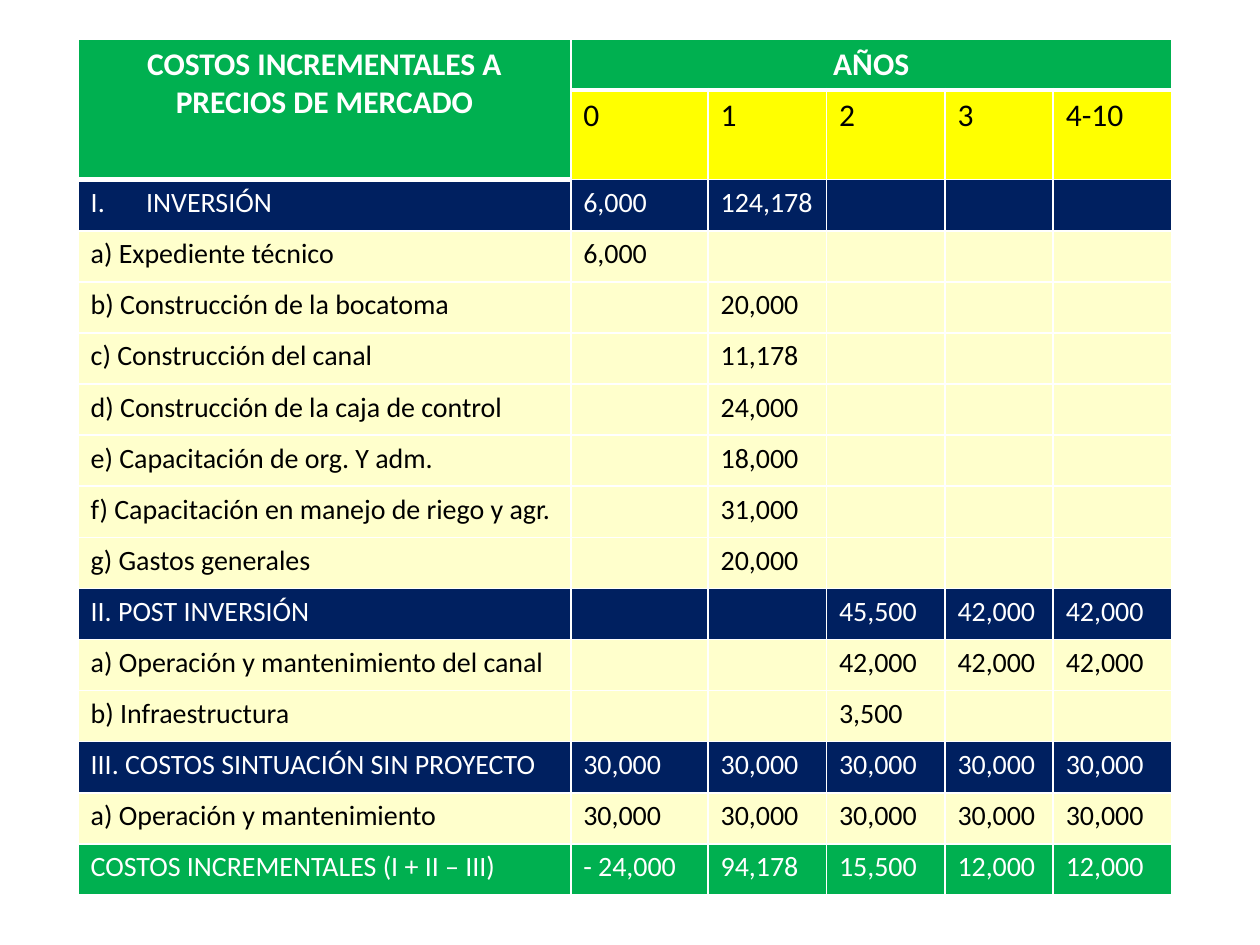
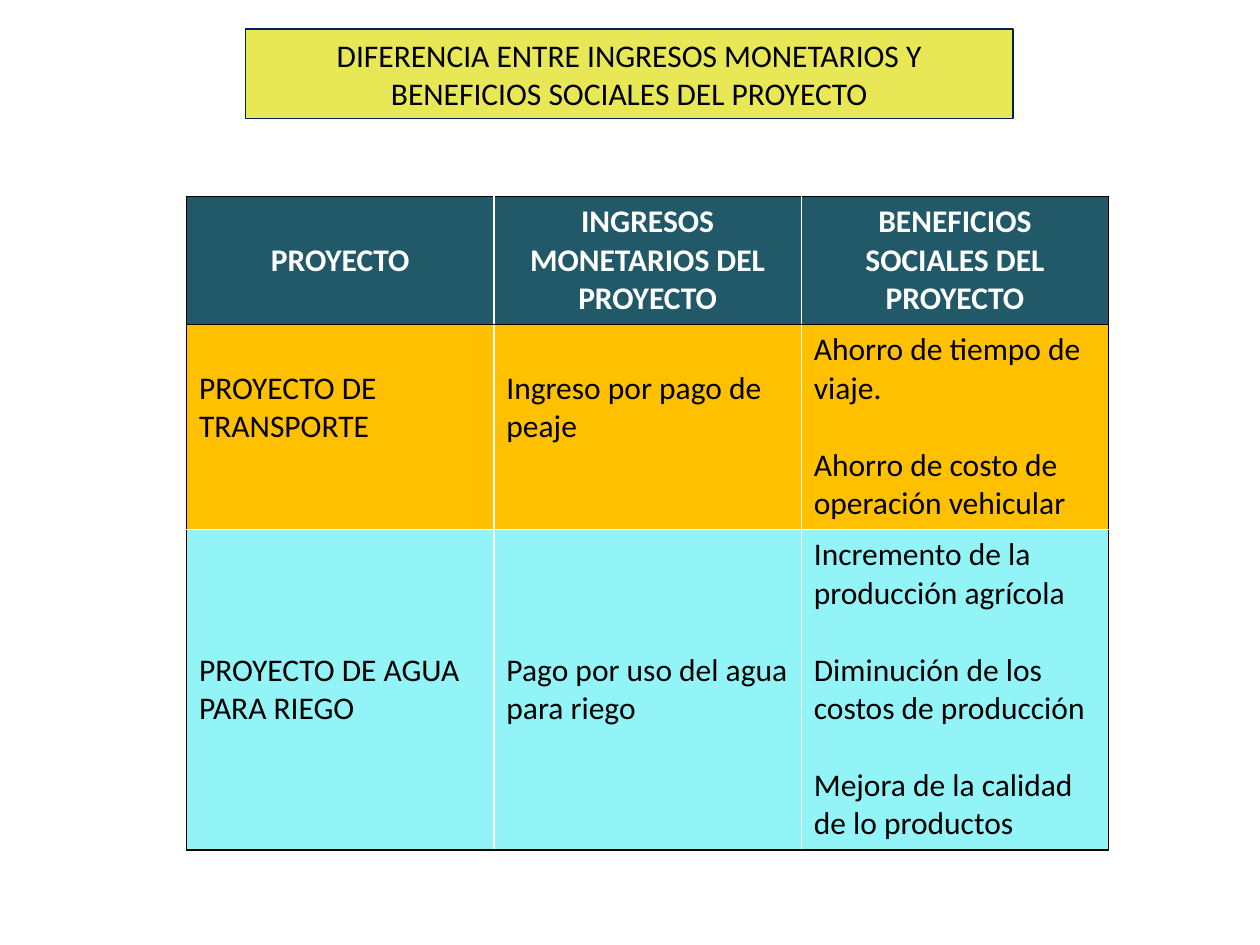
from lxml.etree import SubElement
from pptx import Presentation
from pptx.dml.color import RGBColor
from pptx.enum.shapes import MSO_SHAPE
from pptx.enum.text import MSO_ANCHOR, PP_ALIGN
from pptx.oxml.ns import qn
from pptx.util import Inches, Pt

FONT = "Calibri"
WHITE = RGBColor(0xFF, 0xFF, 0xFF)
BLACK = RGBColor(0x00, 0x00, 0x00)
GREEN = RGBColor(0x00, 0xB0, 0x50)
YELLOW = RGBColor(0xFF, 0xFF, 0x00)
NAVY = RGBColor(0x00, 0x20, 0x60)
CREAM = RGBColor(0xFF, 0xFF, 0xCC)
LIME = RGBColor(0xE8, 0xE8, 0x56)
TEAL = RGBColor(0x21, 0x59, 0x68)
AMBER = RGBColor(0xFF, 0xC0, 0x00)
AQUA = RGBColor(0x92, 0xF4, 0xF6)

LINE_HEIGHT = Pt(22)
HEADER = {"size": Pt(18), "bold": True}
YEAR = {"size": Pt(18), "bold": False}
BODY = {"size": Pt(16), "bold": False}

YEARS = ["0", "1", "2", "3", "4-10"]
COST_ROWS = [
    (NAVY, "INVERSIÓN", ["6,000", "124,178", "", "", ""]),
    (CREAM, "a) Expediente técnico", ["6,000", "", "", "", ""]),
    (CREAM, "b) Construcción de la bocatoma", ["", "20,000", "", "", ""]),
    (CREAM, "c) Construcción del canal", ["", "11,178", "", "", ""]),
    (CREAM, "d) Construcción de la caja de control", ["", "24,000", "", "", ""]),
    (CREAM, "e) Capacitación de org. Y adm.", ["", "18,000", "", "", ""]),
    (CREAM, "f) Capacitación en manejo de riego y agr.", ["", "31,000", "", "", ""]),
    (CREAM, "g) Gastos generales", ["", "20,000", "", "", ""]),
    (NAVY, "II. POST INVERSIÓN", ["", "", "45,500", "42,000", "42,000"]),
    (CREAM, "a) Operación y mantenimiento del canal", ["", "", "42,000", "42,000", "42,000"]),
    (CREAM, "b) Infraestructura", ["", "", "3,500", "", ""]),
    (NAVY, "III. COSTOS SINTUACIÓN SIN PROYECTO", ["30,000"] * 5),
    (CREAM, "a) Operación y mantenimiento", ["30,000"] * 5),
    (GREEN, "COSTOS INCREMENTALES (I + II – III)",
     ["- 24,000", "94,178", "15,500", "12,000", "12,000"]),
]
BENEFIT_HEADINGS = ["PROYECTO", "INGRESOS MONETARIOS DEL PROYECTO",
                    "BENEFICIOS SOCIALES DEL PROYECTO"]
BENEFIT_ROWS = [
    (AMBER, 1, "PROYECTO DE TRANSPORTE", "Ingreso por pago de peaje",
     ["Ahorro de tiempo de viaje.", "Ahorro de costo de operación vehicular"]),
    (AQUA, 3, "PROYECTO DE AGUA PARA RIEGO", "Pago por uso del agua para riego",
     ["Incremento de la producción agrícola", "Diminución de los costos de producción",
      "Mejora de la calidad de lo productos"]),
]


def write_paragraphs(text_frame, texts, color, style, align=PP_ALIGN.LEFT):
    """Write styled paragraphs, one line apart."""
    for index, text in enumerate(texts):
        paragraph = text_frame.add_paragraph() if index else text_frame.paragraphs[0]
        paragraph.alignment = align
        if index:
            paragraph.space_before = LINE_HEIGHT
        run = paragraph.add_run()
        run.text = text
        for name, value in {"name": FONT, **style}.items():
            setattr(run.font, name, value)
        run.font.color.rgb = color


def number_roman(paragraph):
    """Number a paragraph with Roman capitals on a hanging indent."""
    properties = paragraph._p.get_or_add_pPr()
    properties.set("marL", str(Inches(0.44)))
    properties.set("indent", str(Inches(-0.44)))
    SubElement(properties, qn("a:buFont"), typeface="+mj-lt")
    SubElement(properties, qn("a:buAutoNum"), type="romanUcPeriod")


def set_borders(cell, borders):
    """Draw the cell sides L, R, T and B, each given as colour and points."""
    properties = cell._tc.get_or_add_tcPr()
    for side in "LRTB":
        color, width = borders[side]
        line = SubElement(properties, qn(f"a:ln{side}"), w=str(Pt(width)))
        fill = SubElement(line, qn("a:solidFill"))
        SubElement(fill, qn("a:srgbClr"), val=str(color))


def style_cell(cell, fill, borders):
    """Give a cell its borders and fill."""
    set_borders(cell, borders)
    cell.fill.solid()
    cell.fill.fore_color.rgb = fill


def add_plain_table(slide, left, top, widths, heights):
    """Add a table without banding, with the given columns and rows."""
    frame = slide.shapes.add_table(len(heights), len(widths), left, top,
                                   sum(widths), sum(heights))
    table = frame.table
    table.first_row = table.horz_banding = False
    for column, width in zip(table.columns, widths):
        column.width = width
    for row, height in zip(table.rows, heights):
        row.height = height
    return table


def cost_borders(row, column):
    """Return white borders with a thick rule under the header cells."""
    first, last = (1, 2) if column == 0 else (0, 1)
    return {"L": (WHITE, 1), "R": (WHITE, 1),
            "T": (WHITE, 3 if row == last else 1),
            "B": (WHITE, 3 if row == first else 1)}


def benefit_borders(row, column):
    """Return black outer and header borders with white inner ones."""
    black_sides = {"L": column == 0, "R": column == 2, "T": row < 2, "B": row != 1}
    return {side: (BLACK if black else WHITE, 1) for side, black in black_sides.items()}


def add_cost_table(slide):
    """Add the table of incremental costs by year."""
    row_height = Inches(6.49) // 16
    widths = [Inches(width) for width in (3.91, 1.09, 0.94, 0.94, 0.86, 0.94)]
    heights = [row_height, Inches(0.71)] + [row_height] * len(COST_ROWS)
    table = add_plain_table(slide, Inches(0.62), Inches(0.31), widths, heights)
    fills = [[GREEN] * 6, [GREEN] + [YELLOW] * 5] + [[fill] * 6 for fill, *_ in COST_ROWS]
    for row, row_fills in enumerate(fills):
        for column, fill in enumerate(row_fills):
            style_cell(table.cell(row, column), fill, cost_borders(row, column))
    table.cell(0, 0).merge(table.cell(1, 0))
    table.cell(0, 1).merge(table.cell(0, 5))
    for column, text in enumerate(["COSTOS INCREMENTALES A PRECIOS DE MERCADO", "AÑOS"]):
        write_paragraphs(table.cell(0, column).text_frame, [text], WHITE, HEADER,
                         PP_ALIGN.CENTER)
    for column, year in enumerate(YEARS, 1):
        write_paragraphs(table.cell(1, column).text_frame, [year], BLACK, YEAR)
    for row, (fill, label, amounts) in enumerate(COST_ROWS, 2):
        color = BLACK if fill == CREAM else WHITE
        for column, text in enumerate([label, *amounts]):
            if text:
                write_paragraphs(table.cell(row, column).text_frame, [text], color, BODY)
    number_roman(table.cell(2, 0).text_frame.paragraphs[0])


def add_title_box(slide, text):
    """Add the outlined title box."""
    shape = slide.shapes.add_shape(MSO_SHAPE.RECTANGLE, Inches(1.95), Inches(0.23),
                                   Inches(6.09), Inches(0.71))
    shape.shadow.inherit = False
    shape.fill.solid()
    shape.fill.fore_color.rgb = LIME
    shape.line.color.rgb = NAVY
    shape.line.width = Pt(0.75)
    shape.text_frame.word_wrap = True
    write_paragraphs(shape.text_frame, [text], BLACK, YEAR, PP_ALIGN.CENTER)


def add_benefit_table(slide):
    """Add the table comparing income with social benefits."""
    heights = [Inches(height) for height in (1, 1.6, 2.5)]
    table = add_plain_table(slide, Inches(1.48), Inches(1.56), [Inches(2.44)] * 3, heights)
    for column, heading in enumerate(BENEFIT_HEADINGS):
        cell = table.cell(0, column)
        style_cell(cell, TEAL, benefit_borders(0, column))
        cell.vertical_anchor = MSO_ANCHOR.MIDDLE
        write_paragraphs(cell.text_frame, [heading], WHITE, HEADER, PP_ALIGN.CENTER)
    for row, (fill, lines_above, project, income, benefits) in enumerate(BENEFIT_ROWS, 1):
        for column, texts in enumerate([[project], [income], benefits]):
            cell = table.cell(row, column)
            style_cell(cell, fill, benefit_borders(row, column))
            if column < 2:
                cell.margin_top = Inches(0.05) + lines_above * LINE_HEIGHT
            write_paragraphs(cell.text_frame, texts, BLACK, YEAR)


def main():
    """Build and save the presentation."""
    presentation = Presentation()
    presentation.slide_width = Inches(10)
    presentation.slide_height = Inches(7.5)
    blank = presentation.slide_layouts[6]
    add_cost_table(presentation.slides.add_slide(blank))
    slide = presentation.slides.add_slide(blank)
    add_title_box(slide, "DIFERENCIA ENTRE INGRESOS MONETARIOS Y "
                         "BENEFICIOS SOCIALES DEL PROYECTO")
    add_benefit_table(slide)
    presentation.save("out.pptx")


if __name__ == "__main__":
    main()
